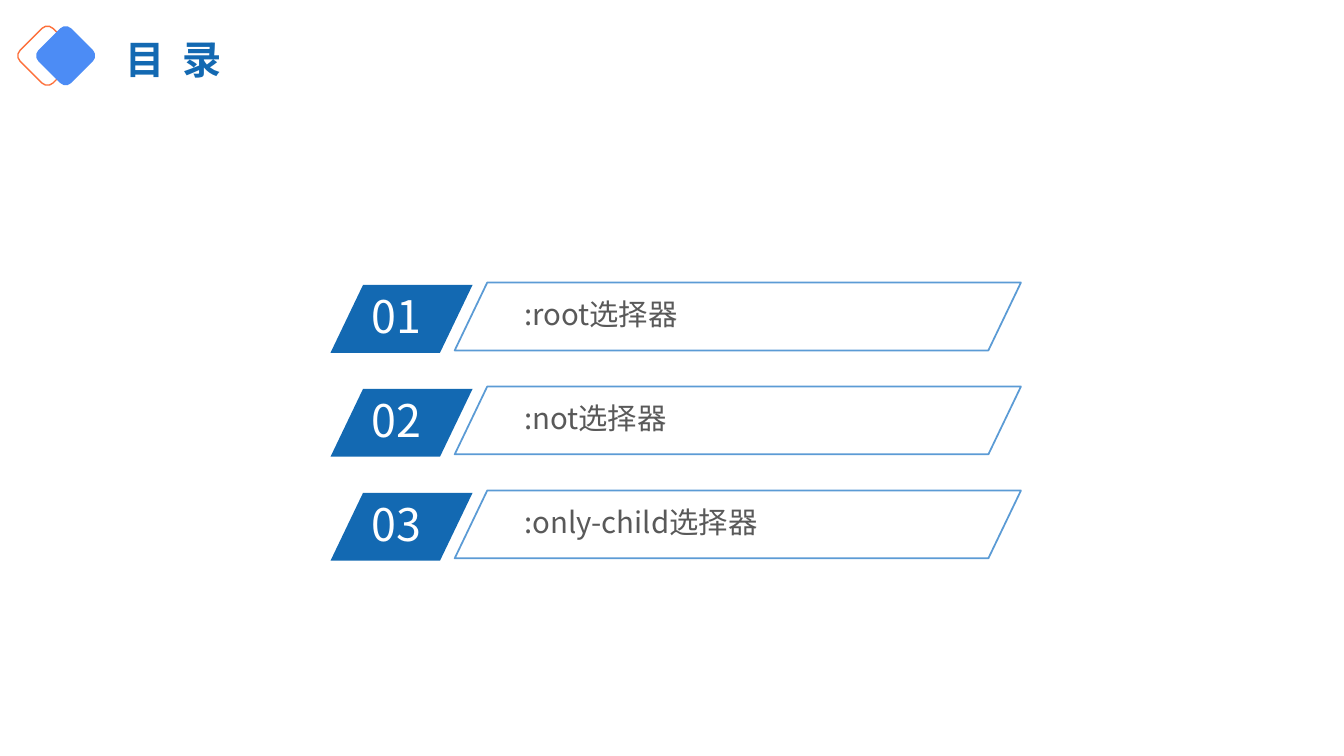
from pptx import Presentation
from pptx.dml.color import RGBColor
from pptx.enum.shapes import MSO_SHAPE
from pptx.enum.text import MSO_ANCHOR, MSO_AUTO_SIZE, PP_ALIGN
from pptx.oxml.ns import qn
from pptx.util import Cm, Pt

PARALLELOGRAM = MSO_SHAPE.PARALLELOGRAM
ROUNDED = MSO_SHAPE.ROUNDED_RECTANGLE
TOP = MSO_ANCHOR.TOP
LEFT = PP_ALIGN.LEFT
NO_RESIZE = MSO_AUTO_SIZE.NONE

FONT = "Noto Sans CJK SC"
DEEP_BLUE = RGBColor(0x13, 0x69, 0xB2)
BRIGHT_BLUE = RGBColor(0x4C, 0x8C, 0xF5)
FRAME_BLUE = RGBColor(0x5B, 0x9B, 0xD5)
ORANGE = RGBColor(0xFD, 0x70, 0x3B)
GREY = RGBColor(0x59, 0x59, 0x59)
WHITE = RGBColor(0xFF, 0xFF, 0xFF)

TOPICS = [":root选择器", ":not选择器", ":only-child选择器"]


def write(holder, text, size, color, bold=False, tracking=0, spacing=1.0,
          margins=(0.25, 0.13)):
    """Put one formatted paragraph into a text-holding shape."""
    frame = holder.text_frame
    frame.word_wrap = True
    frame.auto_size = NO_RESIZE
    frame.vertical_anchor = TOP
    frame.margin_left = frame.margin_right = Cm(margins[0])
    frame.margin_top = frame.margin_bottom = Cm(margins[1])
    paragraph = frame.paragraphs[0]
    paragraph.alignment = LEFT
    paragraph.line_spacing = spacing
    run = paragraph.add_run()
    run.text = text
    run.font.name = FONT
    run.font.size = Pt(size)
    run.font.bold = bold
    run.font.color.rgb = color
    properties = run.font._element
    properties.get_or_add_latin().addnext(
        properties.makeelement(qn("a:ea"), {"typeface": FONT}))
    if tracking:
        properties.set("spc", str(tracking))


def add_outline(slide, kind, box, fill=None, line=None, width=1):
    """Add a preset shape that is either filled or outlined."""
    shape = slide.shapes.add_shape(kind, *map(Cm, box))
    shape.shadow.inherit = False
    if fill is None:
        shape.fill.background()
    else:
        shape.fill.solid()
        shape.fill.fore_color.rgb = fill
    if line is None:
        shape.line.fill.background()
    else:
        shape.line.color.rgb = line
        shape.line.width = Pt(width)
    return shape


def add_header(slide, left, top):
    """Place the pair of diamonds and the title beside them."""
    side = 1.17
    back = add_outline(slide, ROUNDED, (left, top, side, side), line=ORANGE)
    front = add_outline(slide, ROUNDED, (left + 0.46, top, side, side),
                        fill=BRIGHT_BLUE)
    back.rotation = front.rotation = 45
    title = slide.shapes.title
    title.left, title.top = Cm(left + 2.31), Cm(top + 0.07)
    title.width, title.height = Cm(11.28), Cm(1.32)
    write(title, "目 录", 28, DEEP_BLUE, bold=True, tracking=300, spacing=0.9)


def add_topic(slide, number, topic, left, top, width, height):
    """Place one numbered badge with its framed topic."""
    badge = add_outline(slide, PARALLELOGRAM,
                        (left, top + 0.06, 3.58, height), fill=DEEP_BLUE)
    topic_frame = add_outline(slide, PARALLELOGRAM,
                              (left + 3.13, top, width - 3.13, height),
                              line=FRAME_BLUE, width=1.25)
    badge.adjustments[0] = topic_frame.adjustments[0] = 0.48
    number_box = slide.shapes.add_textbox(
        Cm(left + 0.79), Cm(top + 0.03), Cm(2.84), Cm(1.63))
    write(number_box, f"{number:02d}", 32, WHITE)
    topic_box = slide.shapes.add_textbox(
        Cm(left + 4.7), Cm(top + 0.25), Cm(11.91), Cm(1.09))
    write(topic_box, topic, 21, GREY, margins=(0.18, 0.1))


def add_contents(slide, left, top, width, row_height, pitch):
    """Stack the topics at an even pitch."""
    for index, topic in enumerate(TOPICS):
        add_topic(slide, index + 1, topic, left, top + index * pitch,
                  width, row_height)


def main():
    """Build and save the contents slide."""
    deck = Presentation()
    deck.slide_width, deck.slide_height = Cm(33.87), Cm(19.05)
    slide = deck.slides.add_slide(deck.slide_layouts.get_by_name("Title Only"))
    add_header(slide, left=0.61, top=0.82)
    add_contents(slide, left=8.33, top=7.12, width=17.4, row_height=1.71,
                 pitch=2.62)
    deck.save("out.pptx")


if __name__ == "__main__":
    main()
